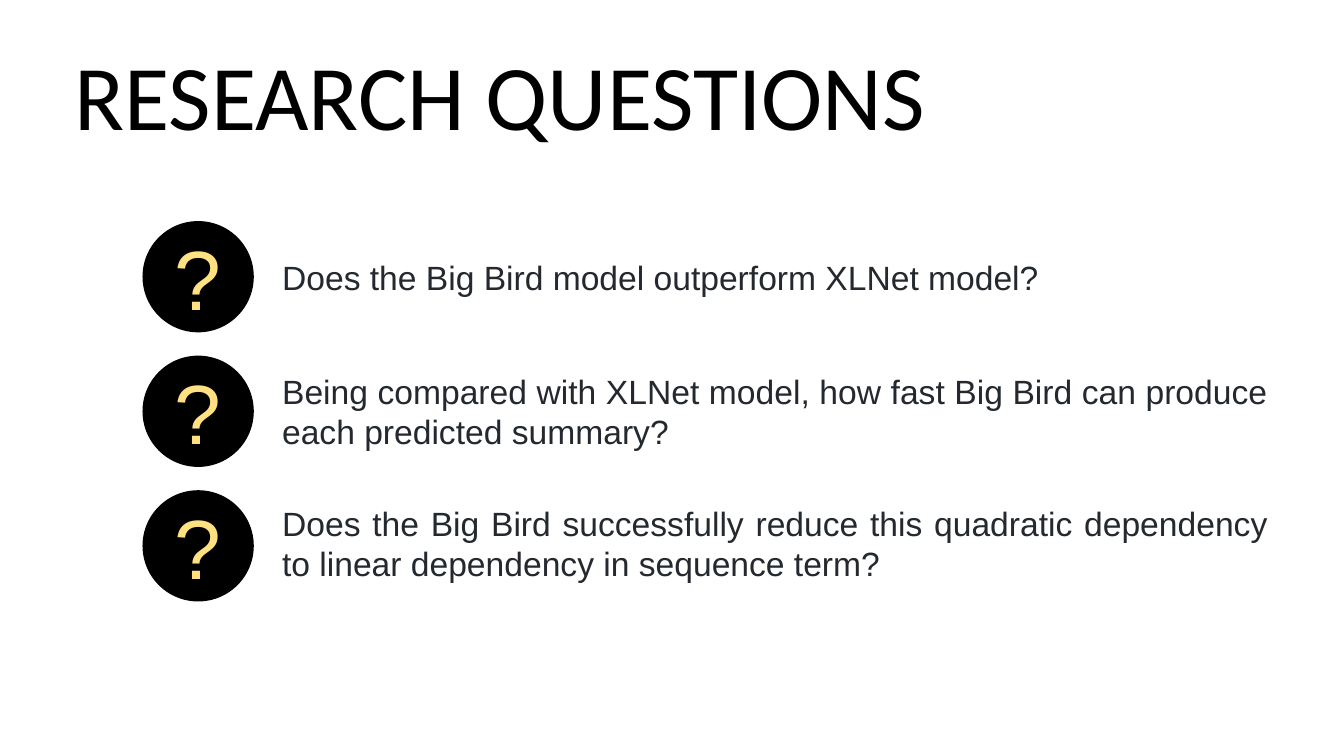
from pptx import Presentation
from pptx.dml.color import RGBColor
from pptx.enum.shapes import MSO_SHAPE
from pptx.enum.text import MSO_ANCHOR, PP_ALIGN
from pptx.util import Inches, Pt

OVAL = MSO_SHAPE.OVAL
TOP, MIDDLE = MSO_ANCHOR.TOP, MSO_ANCHOR.MIDDLE
CENTER, JUSTIFY = PP_ALIGN.CENTER, PP_ALIGN.JUSTIFY

TITLE = "RESEARCH QUESTIONS"
QUESTIONS = [
    ("Does the Big Bird model outperform XLNet model?", 2.5, 0.5),
    ("Being compared with XLNet model, how fast Big Bird can produce "
     "each predicted summary?", 3.63, 0.91),
    ("Does the Big Bird successfully reduce this quadratic dependency "
     "to linear dependency in sequence term?", 4.94, 0.91),
]
COLORS = {"black": "000000", "question": "24292F", "mark": "FFE181"}

MARK_LEFT, MARK_TOP, MARK_SIZE, MARK_PITCH = 1.42, 2.2, 1.09, 1.335
QUESTION_LEFT, QUESTION_WIDTH = 2.7, 9.97


def color(name):
    return RGBColor.from_string(COLORS[name])


def write(shape, text, font, size, color_name, align, anchor=TOP, wrap=True):
    frame = shape.text_frame
    frame.text = text
    frame.word_wrap = wrap
    frame.vertical_anchor = anchor
    paragraph = frame.paragraphs[0]
    paragraph.alignment = align
    run = paragraph.runs[0]
    run.font.name = font
    run.font.size = Pt(size)
    run.font.color.rgb = color(color_name)


def add_text(slide, box, *style, **options):
    textbox = slide.shapes.add_textbox(*map(Inches, box))
    write(textbox, *style, **options)


def add_mark(slide, top):
    box = (MARK_LEFT, top, MARK_SIZE, MARK_SIZE)
    mark = slide.shapes.add_shape(OVAL, *map(Inches, box))
    mark.shadow.inherit = False
    mark.fill.solid()
    mark.fill.fore_color.rgb = color("black")
    mark.line.color.rgb = color("black")
    mark.line.width = Pt(1)
    write(mark, "?", "Arial", 60, "mark", CENTER, anchor=MIDDLE)


def main():
    deck = Presentation()
    deck.slide_width, deck.slide_height = Inches(13.33), Inches(7.5)
    slide = deck.slides.add_slide(deck.slide_layouts[6])

    add_text(slide, (0.64, 0.33, 8.73, 1.21), TITLE, "Calibri", 66, "black",
             JUSTIFY, wrap=False)
    for row, (question, top, height) in enumerate(QUESTIONS):
        add_text(slide, (QUESTION_LEFT, top, QUESTION_WIDTH, height),
                 question, "Arial", 24, "question", JUSTIFY)
        add_mark(slide, MARK_TOP + row * MARK_PITCH)

    deck.save("out.pptx")


if __name__ == "__main__":
    main()
